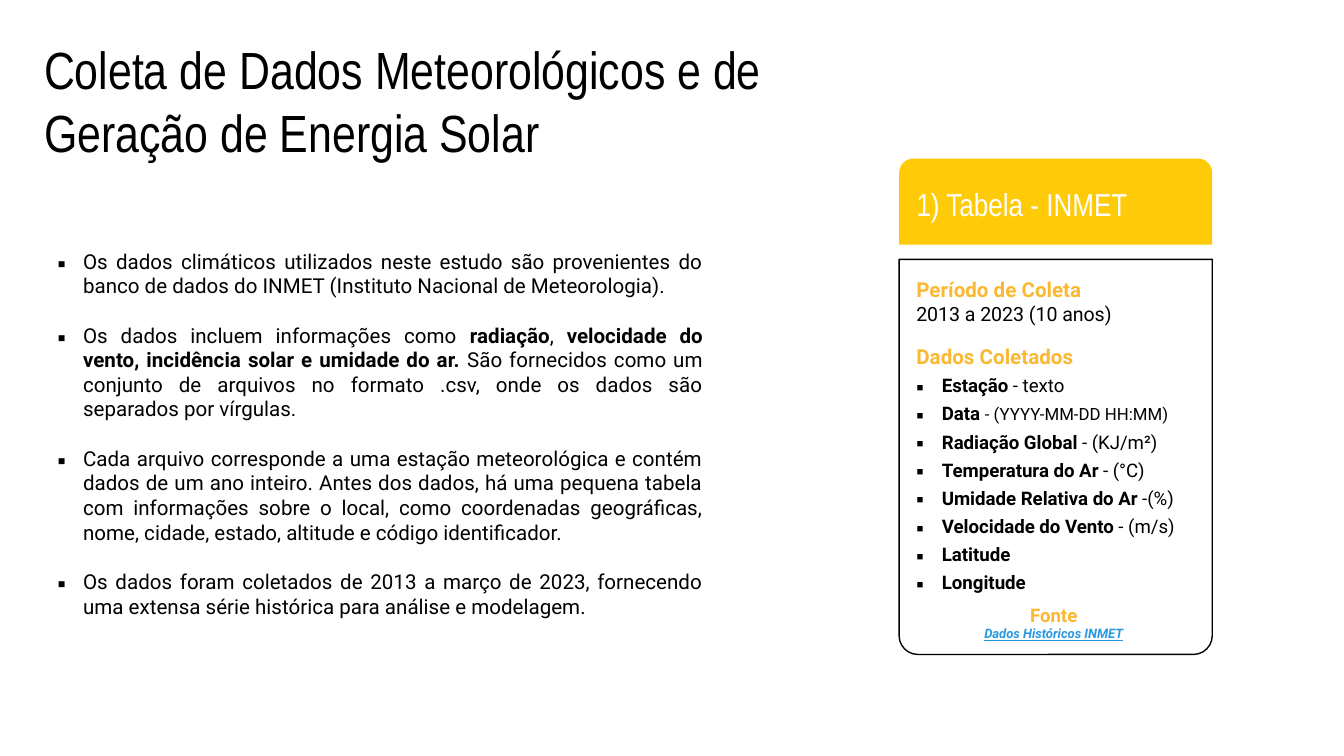
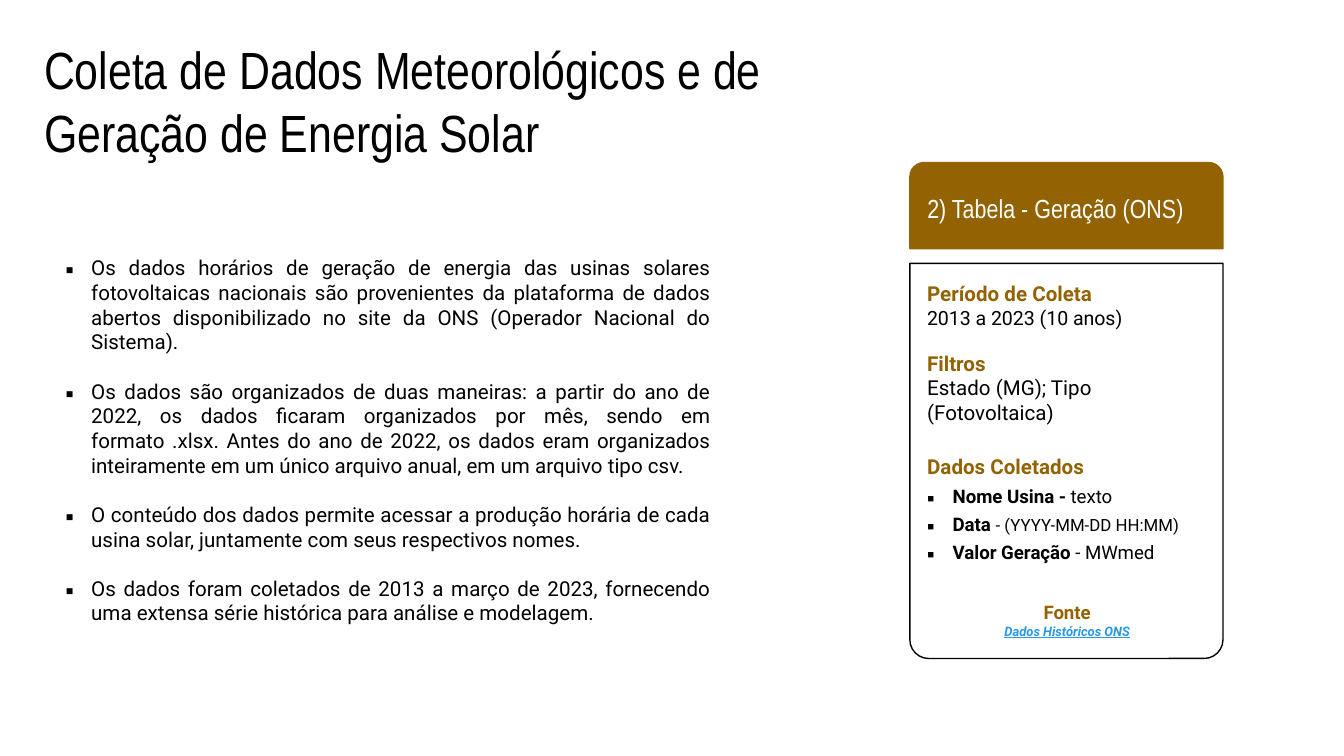
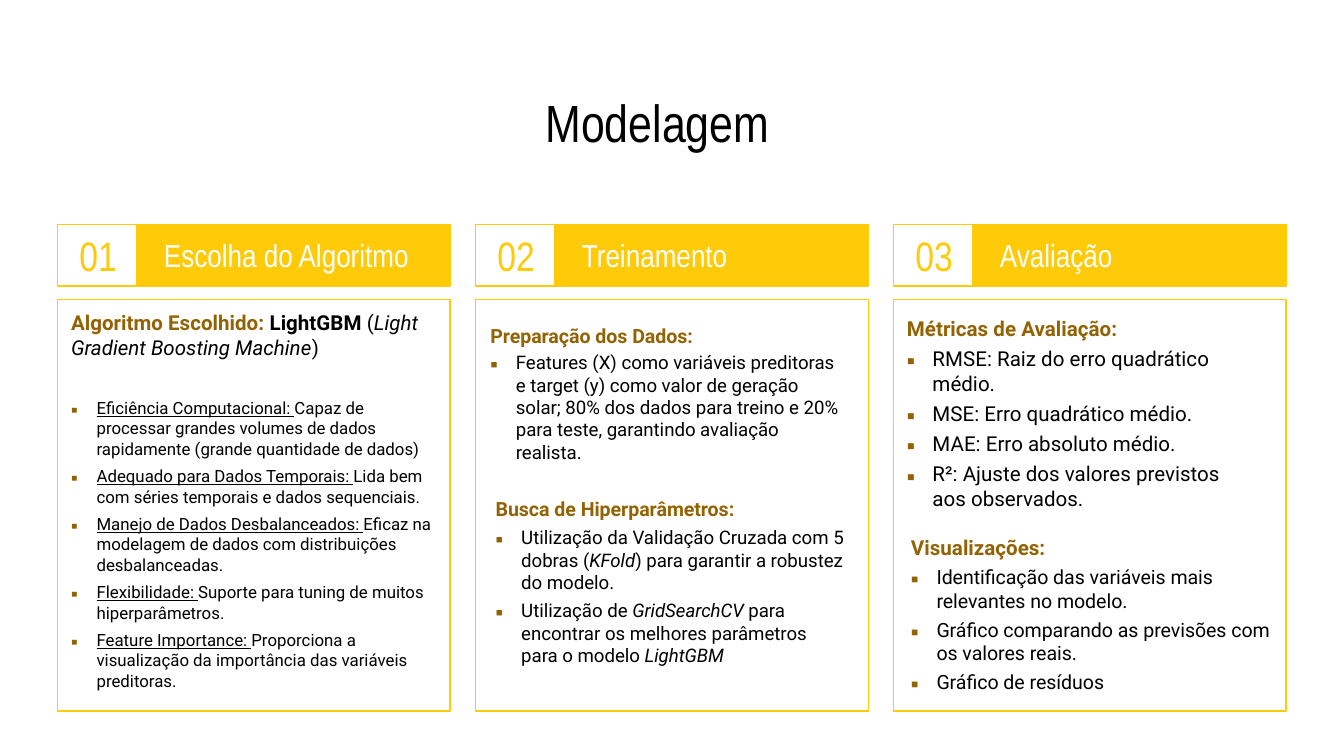
from dataclasses import dataclass
from typing import NamedTuple, Optional, Union

from lxml.etree import SubElement
from pptx import Presentation
from pptx.dml.color import RGBColor
from pptx.enum.shapes import MSO_SHAPE
from pptx.enum.text import MSO_ANCHOR, PP_ALIGN
from pptx.oxml.ns import qn
from pptx.util import Inches, Pt

TITLE_FONT = "Arial Narrow"
BODY_FONT = "Roboto"
BULLET_FONT = "Noto Sans Symbols"
BLACK = "000000"
WHITE = "FFFFFF"
YELLOW = "FFCA08"
AMBER = "FBB831"
BROWN = "936303"
LINK_BLUE = "2998E3"

BULLET_INDENT = 0.19
COLLECTION_TITLE = "Coleta de Dados Meteorológicos e de Geração de Energia Solar"
PERIOD = "2013 a 2023 (10 anos)"
HISTORY = (
    "Os dados foram coletados de 2013 a março de 2023, fornecendo uma extensa "
    "série histórica para análise e modelagem. "
)


class Box(NamedTuple):
    left: float
    top: float
    width: float
    height: float


class Run(NamedTuple):
    """A stretch of text; None keeps the paragraph's setting."""
    text: str
    bold: Optional[bool] = None
    italic: Optional[bool] = None
    underline: Optional[bool] = None
    size: Optional[float] = None
    color: Optional[str] = None


@dataclass(frozen=True)
class Line:
    """One paragraph and its formatting."""
    runs: tuple[Union[str, Run], ...]
    size: float = 11
    color: str = BLACK
    font: str = BODY_FONT
    bold: bool = False
    italic: bool = False
    underline: bool = False
    align: PP_ALIGN = PP_ALIGN.LEFT
    before: float = 0
    bullet: Optional[str] = None


@dataclass(frozen=True)
class TableCard:
    left: float
    top: float
    title: str
    title_size: float
    fill: str
    header_line: Optional[str]
    accent: str
    fields_top: float
    fields: tuple[tuple[Union[str, Run], ...], ...]
    source_box: Box
    source: str


@dataclass(frozen=True)
class TextBlock:
    box: Box
    lines: tuple[Line, ...]


@dataclass(frozen=True)
class Stage:
    title: str
    blocks: tuple[TextBlock, ...]


def rgb(color: str) -> RGBColor:
    return RGBColor.from_string(color)


def add_bullet(paragraph, color: str) -> None:
    properties = paragraph._p.get_or_add_pPr()
    properties.set("marL", str(Inches(BULLET_INDENT)))
    properties.set("indent", str(-Inches(BULLET_INDENT)))
    bullet_color = SubElement(properties, qn("a:buClr"))
    SubElement(bullet_color, qn("a:srgbClr")).set("val", color)
    SubElement(properties, qn("a:buFont")).set("typeface", BULLET_FONT)
    SubElement(properties, qn("a:buChar")).set("char", "▪")


def style_font(font, size, color, bold, italic, underline) -> None:
    if size is not None:
        font.size = Pt(size)
    if color is not None:
        font.color.rgb = rgb(color)
    font.bold, font.italic, font.underline = bold, italic, underline


def write_lines(shape, lines: tuple[Line, ...], anchor=MSO_ANCHOR.TOP,
                inset: float = 0.1, left_inset: float = 0.1) -> None:
    """Fill a shape with paragraphs; inset is the top and bottom margin."""
    frame = shape.text_frame
    frame.word_wrap = True
    frame.vertical_anchor = anchor
    frame.margin_left, frame.margin_right = Inches(left_inset), Inches(0.1)
    frame.margin_top = frame.margin_bottom = Inches(inset)
    for index, line in enumerate(lines):
        paragraph = frame.add_paragraph() if index else frame.paragraphs[0]
        paragraph.alignment = line.align
        paragraph.space_before = Pt(line.before)
        if line.bullet:
            add_bullet(paragraph, line.bullet)
        paragraph.font.name = line.font
        style_font(paragraph.font, line.size, line.color,
                   line.bold, line.italic, line.underline)
        for item in line.runs:
            part = item if isinstance(item, Run) else Run(item)
            run = paragraph.add_run()
            run.text = part.text
            style_font(run.font, part.size, part.color,
                       part.bold, part.italic, part.underline)


def add_text(slide, box: Box, lines: tuple[Line, ...],
             anchor=MSO_ANCHOR.TOP, inset: float = 0.1) -> None:
    shape = slide.shapes.add_textbox(*map(Inches, box))
    write_lines(shape, lines, anchor, inset)


def add_panel(slide, box: Box, fill: Optional[str], line: Optional[str],
              kind=MSO_SHAPE.RECTANGLE):
    shape = slide.shapes.add_shape(kind, *map(Inches, box))
    shape.shadow.inherit = False
    if fill:
        shape.fill.solid()
        shape.fill.fore_color.rgb = rgb(fill)
    else:
        shape.fill.background()
    if line:
        shape.line.color.rgb = rgb(line)
        shape.line.width = Pt(0.75)
    else:
        shape.line.fill.background()
    return shape


def add_title(slide, box: Box, text: str, align=PP_ALIGN.LEFT) -> None:
    line = Line((text,), 28, font=TITLE_FONT, align=align)
    add_text(slide, box, (line,), MSO_ANCHOR.MIDDLE)


def heading(text: str, color: str = BROWN, size: float = 11, before: float = 0) -> Line:
    return Line((text,), size, color, bold=True, before=before)


def bullets(items, size: float, color: str = BROWN, before: float = 3,
            bold: bool = False) -> tuple[Line, ...]:
    return tuple(Line(runs, size, bold=bold, before=before, bullet=color)
                 for runs in items)


def add_table_card(slide, card: TableCard) -> None:
    left, body_top = card.left, card.top + 0.75
    body = add_panel(slide, Box(left, body_top, 2.33, 2.94), None, BLACK,
                     MSO_SHAPE.ROUND_2_SAME_RECTANGLE)
    body.adjustments[0], body.adjustments[1] = 0, 0.06
    header = add_panel(slide, Box(left, card.top, 2.33, 0.64), card.fill,
                       card.header_line, MSO_SHAPE.ROUND_2_SAME_RECTANGLE)
    title = Line((card.title,), card.title_size, WHITE, TITLE_FONT)
    write_lines(header, (title,), MSO_ANCHOR.MIDDLE)

    add_text(slide, Box(left + 0.03, body_top + 0.03, 2.3, 0.5),
             (heading("Período de Coleta", card.accent), Line((PERIOD,), 10.5)))
    fields_height = 0.4 + 0.2 * len(card.fields)
    add_text(slide, Box(left + 0.03, card.fields_top, 2.33, fields_height),
             (heading("Dados Coletados", card.accent),
              *bullets(card.fields, 10, BLACK, bold=True)))
    add_text(slide, card.source_box, (
        Line(("Fonte",), 10, card.accent, bold=True, align=PP_ALIGN.CENTER),
        Line((card.source,), 7, LINK_BLUE, bold=True, italic=True, underline=True,
             align=PP_ALIGN.CENTER),
    ))


def add_collection_slide(presentation, notes_left: float, notes_top: float,
                         notes, card: TableCard):
    slide = presentation.slides.add_slide(presentation.slide_layouts[6])
    add_title(slide, Box(0.23, 0.28, 6.17, 0.93), COLLECTION_TITLE)
    lines = tuple(
        Line(runs, align=PP_ALIGN.JUSTIFY, before=13.2 if index else 0, bullet=BLACK)
        for index, runs in enumerate(notes)
    )
    add_text(slide, Box(notes_left, notes_top, 5, 2.88), lines, inset=0.05)
    add_table_card(slide, card)
    return slide


def add_stage(slide, index: int, stage: Stage) -> None:
    left = 0.43 + 3.11 * index
    number = add_panel(slide, Box(left, 1.67, 0.6, 0.46), WHITE, YELLOW)
    write_lines(number, (Line((f"{index + 1:02}",), 22, YELLOW, TITLE_FONT,
                              align=PP_ALIGN.CENTER),), MSO_ANCHOR.MIDDLE)
    header = add_panel(slide, Box(left + 0.59, 1.67, 2.33, 0.46), YELLOW, YELLOW)
    write_lines(header, (Line((stage.title,), 17, WHITE, TITLE_FONT),),
                MSO_ANCHOR.MIDDLE, left_inset=0.2)
    add_panel(slide, Box(left, 2.23, 2.92, 3.06), WHITE, YELLOW)
    for block in stage.blocks:
        add_text(slide, block.box, block.lines, inset=0.05)


def field(name: str, unit: str, unit_size: Optional[float] = None):
    return (name, Run(unit, bold=False, size=unit_size))


DATE_FIELD = field("Data ", "- (YYYY-MM-DD HH:MM)", 9)

WEATHER_NOTES = (
    ("Os dados climáticos utilizados neste estudo são provenientes do banco de dados "
     "do INMET (Instituto Nacional de Meteorologia). ",),
    ("Os dados incluem informações como ", Run("radiação", bold=True), ", ",
     Run("velocidade do vento, incidência solar e umidade do ar. ", bold=True),
     "São fornecidos como um conjunto de arquivos no formato .csv, onde os dados "
     "são separados por vírgulas. "),
    ("Cada arquivo corresponde a uma estação meteorológica e contém dados de um ano "
     "inteiro. Antes dos dados, há uma pequena tabela com informações sobre o local, "
     "como coordenadas geográficas, nome, cidade, estado, altitude e código "
     "identificador. ",),
    (HISTORY,),
)

WEATHER_CARD = TableCard(
    6.69, 1.18, "1) Tabela - INMET", 17, YELLOW, None, AMBER, 2.46,
    (
        field("Estação", " - texto"),
        DATE_FIELD,
        field("Radiação Global ", "- (KJ/m²)"),
        field("Temperatura do Ar ", "- (°C)"),
        field("Umidade Relativa do Ar ", "-(%)"),
        field("Velocidade do Vento ", "- (m/s)"),
        ("Latitude",),
        ("Longitude",),
    ),
    Box(6.69, 4.39, 2.3, 0.4), "Dados Históricos INMET",
)

GENERATION_NOTES = (
    ("Os dados horários de geração de energia das usinas solares fotovoltaicas "
     "nacionais são provenientes da plataforma de dados abertos disponibilizado no "
     "site da ONS (Operador Nacional do Sistema). ",),
    ("Os dados são organizados de duas maneiras: a partir do ano de 2022, os dados "
     "ficaram organizados por mês, sendo em formato .xlsx. Antes do ano de 2022, os "
     "dados eram organizados inteiramente em um único arquivo anual, em um arquivo "
     "tipo csv.",),
    ("O conteúdo dos dados permite acessar a produção horária de cada usina solar, "
     "juntamente com seus respectivos nomes.",),
    (HISTORY,),
)

GENERATION_CARD = TableCard(
    6.77, 1.21, "2) Tabela - Geração (ONS)", 14, BROWN, BROWN, BROWN, 3.28,
    (
        field("Nome Usina - ", "texto"),
        DATE_FIELD,
        field("Valor Geração ", "- MWmed"),
    ),
    Box(6.79, 4.37, 2.3, 0.5), "Dados Históricos ONS",
)

ADVANTAGES = (
    ("Eficiência Computacional: ",
     "Capaz de processar grandes volumes de dados rapidamente "
     "(grande quantidade de dados)"),
    ("Adequado para Dados Temporais: ",
     "Lida bem com séries temporais e dados sequenciais."),
    ("Manejo de Dados Desbalanceados: ",
     "Eficaz na modelagem de dados com distribuições desbalanceadas."),
    ("Flexibilidade: ", "Suporte para tuning de muitos hiperparâmetros."),
    ("Feature Importance: ",
     "Proporciona a visualização da importância das variáveis preditoras."),
)

STAGES = (
    Stage("Escolha do Algoritmo", (
        TextBlock(Box(0.43, 2.26, 2.92, 3.19), (
            Line((Run("Algoritmo Escolhido: ", bold=True, color=BROWN),
                  Run("LightGBM", bold=True), " (",
                  Run("Light Gradient Boosting Machine", italic=True), ")")),
            *(Line((Run(name, underline=True), text), 9, bullet=BROWN,
                   before=4 if index else 20.5)
              for index, (name, text) in enumerate(ADVANTAGES)),
        )),
    )),
    Stage("Treinamento", (
        TextBlock(Box(3.55, 2.36, 2.8, 1.15), (
            heading("Preparação dos Dados:", size=10.5, before=2),
            *bullets((
                ("Features (X) como variáveis preditoras e target (y) como valor de "
                 "geração solar; 80% dos dados para treino e 20% para teste, "
                 "garantindo avaliação realista.",),
            ), 10, before=2),
        )),
        TextBlock(Box(3.59, 3.65, 2.8, 1.37), (
            heading("Busca de Hiperparâmetros:", size=10.5, before=3),
            *bullets((
                ("Utilização da Validação Cruzada com 5 dobras (",
                 Run("KFold", italic=True), ") para garantir a robustez do modelo."),
                ("Utilização de ", Run("GridSearchCV", italic=True),
                 " para encontrar os melhores parâmetros para o modelo ",
                 Run("LightGBM", italic=True)),
            ), 10),
        )),
    )),
    Stage("Avaliação", (
        TextBlock(Box(6.65, 2.3, 2.8, 1.57), (
            heading("Métricas de Avaliação:", before=3),
            *bullets((
                ("RMSE: Raiz do erro quadrático médio.",),
                ("MSE: Erro quadrático médio.",),
                ("MAE: Erro absoluto médio.",),
                ("R²: Ajuste dos valores previstos aos observados.",),
            ), 11),
        )),
        TextBlock(Box(6.68, 3.93, 2.87, 1.3), (
            heading("Visualizações:", before=3),
            *bullets((
                ("Identificação das variáveis mais relevantes no modelo.",),
                ("Gráfico comparando as previsões com os valores reais.",),
                ("Gráfico de resíduos",),
            ), 10.5),
        )),
    )),
)


def main() -> None:
    presentation = Presentation()
    presentation.slide_width = Inches(10)
    presentation.slide_height = Inches(10) * 9 // 16

    add_collection_slide(presentation, 0.33, 1.8, WEATHER_NOTES, WEATHER_CARD)

    generation = add_collection_slide(presentation, 0.39, 1.85, GENERATION_NOTES,
                                      GENERATION_CARD)
    add_text(generation, Box(6.8, 2.56, 2.28, 0.84),
             (heading("Filtros"), Line(("Estado (MG); Tipo (Fotovoltaica)",))),
             inset=0.05)

    modeling = presentation.slides.add_slide(presentation.slide_layouts[6])
    add_title(modeling, Box(0.71, 0.64, 8.45, 0.53), "Modelagem ", PP_ALIGN.CENTER)
    for index, stage in enumerate(STAGES):
        add_stage(modeling, index, stage)

    presentation.save("out.pptx")


if __name__ == "__main__":
    main()
